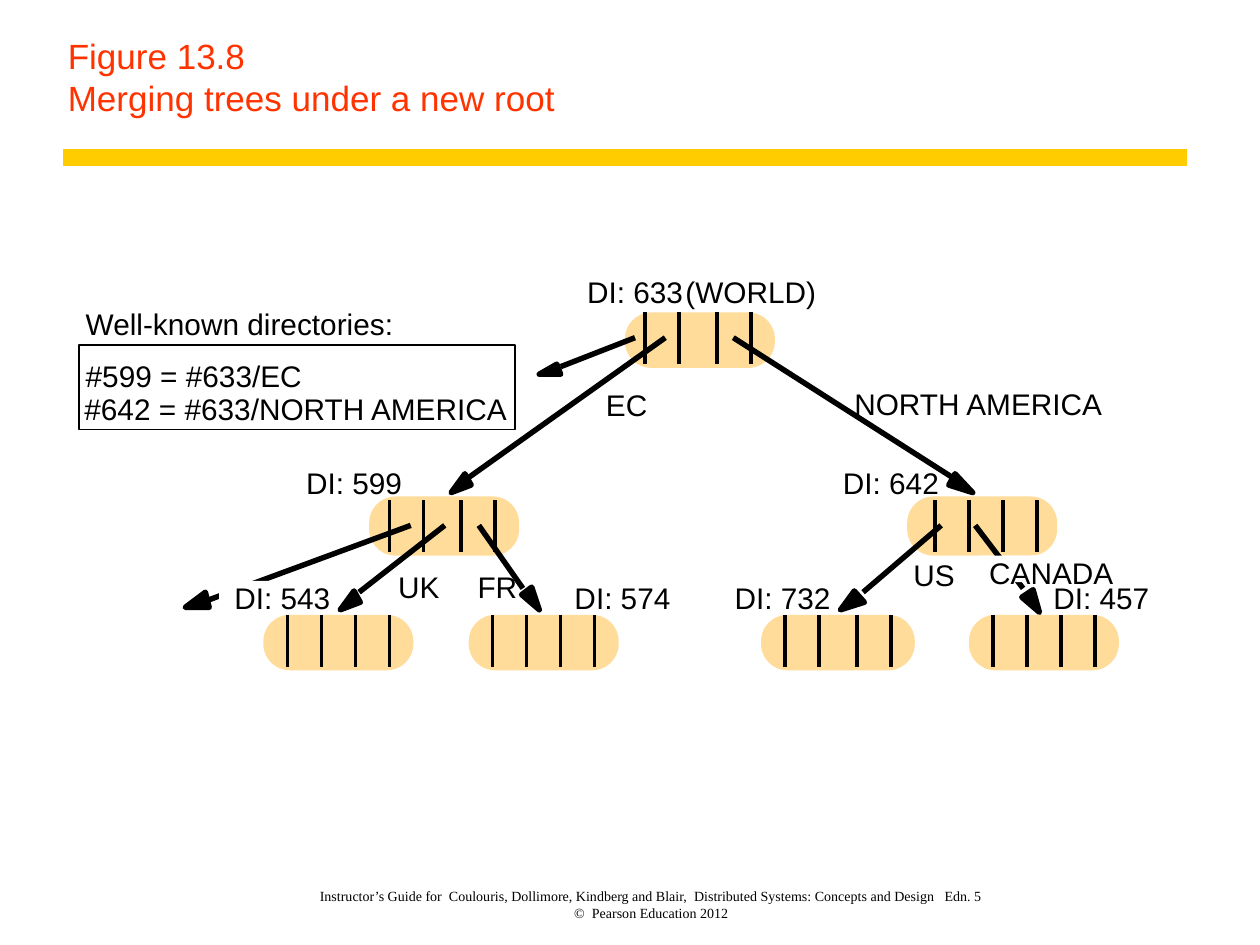
from dataclasses import dataclass
from pptx import Presentation
from pptx.dml.color import RGBColor
from pptx.enum.shapes import MSO_CONNECTOR, MSO_SHAPE
from pptx.enum.text import MSO_ANCHOR, MSO_AUTO_SIZE, PP_ALIGN
from pptx.oxml.ns import qn
from pptx.util import Inches, Pt
from lxml.etree import SubElement


@dataclass(frozen=True)
class Theme:
    black: RGBColor = RGBColor(0, 0, 0)
    white: RGBColor = RGBColor(255, 255, 255)
    red: RGBColor = RGBColor(0xFF, 0x33, 0x00)
    gold: RGBColor = RGBColor(0xFF, 0xCC, 0x00)
    peach: RGBColor = RGBColor(0xFF, 0xDC, 0x99)
    sans: str = "Arial"
    serif: str = "Times New Roman"
    title: int = 20
    label: int = 17
    note: int = 8
    bar: float = 10
    arrow: float = 3.12
    tick: float = 2
    frame: float = 1


THEME = Theme()

NODES = [
    (4.96, 2.48, 1.19, 0.44, 0.16, 0.3, 0),
    (2.93, 3.94, 1.19, 0.47, 0.16, 0.3, 0.03),
    (7.2, 3.94, 1.19, 0.47, 0.22, 0.27, 0.03),
    (2.09, 4.88, 1.19, 0.44, 0.19, 0.27, 0),
    (3.72, 4.88, 1.19, 0.44, 0.19, 0.27, 0),
    (6.04, 4.88, 1.22, 0.44, 0.19, 0.3, 0),
    (7.69, 4.88, 1.19, 0.44, 0.19, 0.27, 0),
]

ARROWS = [
    ((5.04, 2.68), (4.45, 2.91), [(4.45, 2.97), (4.28, 2.97), (4.42, 2.89)]),
    ((5.28, 2.68), (3.72, 3.79), [(3.74, 3.85), (3.58, 3.91), (3.69, 3.76)]),
    ((5.82, 2.68), (7.56, 3.79), [(7.58, 3.76), (7.72, 3.91), (7.53, 3.85)]),
    ((3.26, 4.17), (1.66, 4.76), [(1.66, 4.82), (1.47, 4.82), (1.63, 4.7)]),
    ((3.53, 4.17), (2.85, 4.7), [(2.86, 4.78), (2.7, 4.84), (2.81, 4.69)]),
    ((3.8, 4.17), (4.15, 4.67), [(4.22, 4.66), (4.28, 4.84), (4.14, 4.72)]),
    ((7.47, 4.17), (6.85, 4.7), [(6.86, 4.78), (6.67, 4.84), (6.78, 4.69)]),
    ((7.74, 4.17), (8.12, 4.67), [(8.2, 4.68), (8.25, 4.86), (8.11, 4.74)]),
]

LABELS = [
    ("DI: 633", 4.66, 2.17, 0.83),
    ("(WORLD)", 5.44, 2.17, 1.04),
    ("Well-known directories:", 0.68, 2.43, 2.45),
    ("#599 = #633/EC", 0.68, 2.84, 1.75),
    ("#642 = #633/NORTH AMERICA", 0.67, 3.1, 3.4),
    ("EC", 4.81, 3.07, 0.33),
    ("NORTH AMERICA", 6.78, 3.06, 2.02),
    ("DI: 599", 2.43, 3.69, 0.83),
    ("DI: 642", 6.69, 3.69, 0.83),
    ("UK", 3.16, 4.51, 0.33),
    ("FR", 3.79, 4.51, 0.32),
    ("US", 7.25, 4.42, 0.33),
    ("CANADA", 7.85, 4.4, 0.99),
    ("DI: 543", 1.86, 4.6, 0.83),
    ("DI: 574", 4.56, 4.6, 0.83),
    ("DI: 732", 5.83, 4.6, 0.83),
    ("DI: 457", 8.36, 4.6, 0.83),
]


def add_line(slide, start, end, color, width):
    points = [Inches(v) for v in (*start, *end)]
    line = slide.shapes.add_connector(MSO_CONNECTOR.STRAIGHT, *points)
    line.line.color.rgb = color
    line.line.width = Pt(width)
    SubElement(line._element.spPr, qn("a:effectLst"))


def add_block(slide, kind, area, fill=None):
    block = slide.shapes.add_shape(kind, *map(Inches, area))
    block.shadow.inherit = False
    if fill is None:
        block.fill.background()
        block.line.color.rgb = THEME.black
        block.line.width = Pt(THEME.frame)
    else:
        block.fill.solid()
        block.fill.fore_color.rgb = fill
        block.line.fill.background()
    return block


def add_node(slide, left, top, width, height, first, middle, drop):
    area = (left, top, width, height)
    node = add_block(slide, MSO_SHAPE.ROUNDED_RECTANGLE, area, THEME.peach)
    node.adjustments[0] = 0.21 / height
    x, y = left + first, top + drop
    for gap in (0, 0.27, middle, 0.27):
        x += gap
        add_line(slide, (x, y), (x, y + 0.41), THEME.black, THEME.tick)


def add_arrow(slide, start, end, head):
    add_line(slide, start, end, THEME.black, THEME.arrow)
    (x, y), *rest = [(Inches(a), Inches(b)) for a, b in head]
    base = ((head[0][0] + head[2][0]) / 2, (head[0][1] + head[2][1]) / 2)
    rest.append((Inches(base[0]), Inches(base[1])))
    pen = slide.shapes.build_freeform(x, y)
    pen.add_line_segments(rest, close=True)
    tip = pen.convert_to_shape()
    tip.shadow.inherit = False
    tip.fill.solid()
    tip.fill.fore_color.rgb = THEME.black
    tip.line.color.rgb = THEME.black
    tip.line.width = Pt(THEME.arrow)


def add_text(slide, text, area, font, size, color, pad=(0, 0, 0, 0)):
    box = slide.shapes.add_textbox(*map(Inches, area))
    frame = box.text_frame
    frame.word_wrap = True
    frame.margin_left, frame.margin_top = Inches(pad[0]), Inches(pad[1])
    frame.margin_right, frame.margin_bottom = Inches(pad[2]), Inches(pad[3])
    frame.text = text
    style = frame.paragraphs[0].font
    style.name = font
    style.size = Pt(size)
    style.color.rgb = color
    return frame


def add_label(slide, text, left, top, width):
    area = (left, top, width, 0.28)
    frame = add_text(slide, text, area, THEME.sans, THEME.label, THEME.black)
    frame.word_wrap = False
    frame.auto_size = MSO_AUTO_SIZE.SHAPE_TO_FIT_TEXT


def add_title(slide):
    text = "Figure 13.8\vMerging trees under a new root"
    frame = add_text(slide, text, (0.44, 0, 8.97, 1), THEME.sans,
                     THEME.title, THEME.red, (0.1, 0.06, 0.14, 0.06))
    frame.vertical_anchor = MSO_ANCHOR.BOTTOM
    add_line(slide, (0.5, 1.25), (9.42, 1.25), THEME.gold, THEME.bar)


def add_note(slide):
    text = ("Instructor’s Guide for  Coulouris, Dollimore, Kindberg and Blair,  "
            "Distributed Systems: Concepts and Design   Edn. 5\v"
            "©  Pearson Education 2012")
    frame = add_text(slide, text, (2.13, 6.92, 6.08, 0.39), THEME.serif,
                     THEME.note, THEME.black, (0.04, 0, 0.04, 0))
    frame.vertical_anchor = MSO_ANCHOR.BOTTOM
    frame.paragraphs[0].alignment = PP_ALIGN.CENTER


def main():
    deck = Presentation()
    deck.slide_width, deck.slide_height = Inches(10), Inches(7.5)
    slide = deck.slides.add_slide(deck.slide_layouts[6])
    add_title(slide)
    for node in NODES:
        add_node(slide, *node)
    for arrow in ARROWS:
        add_arrow(slide, *arrow)
    for mask in ((1.74, 4.61, 0.84, 0.2), (7.77, 4.41, 0.84, 0.21)):
        add_block(slide, MSO_SHAPE.RECTANGLE, mask, THEME.white)
    add_block(slide, MSO_SHAPE.RECTANGLE, (0.63, 2.74, 3.46, 0.67))
    for label in LABELS:
        add_label(slide, *label)
    add_note(slide)
    deck.save("out.pptx")


if __name__ == "__main__":
    main()
